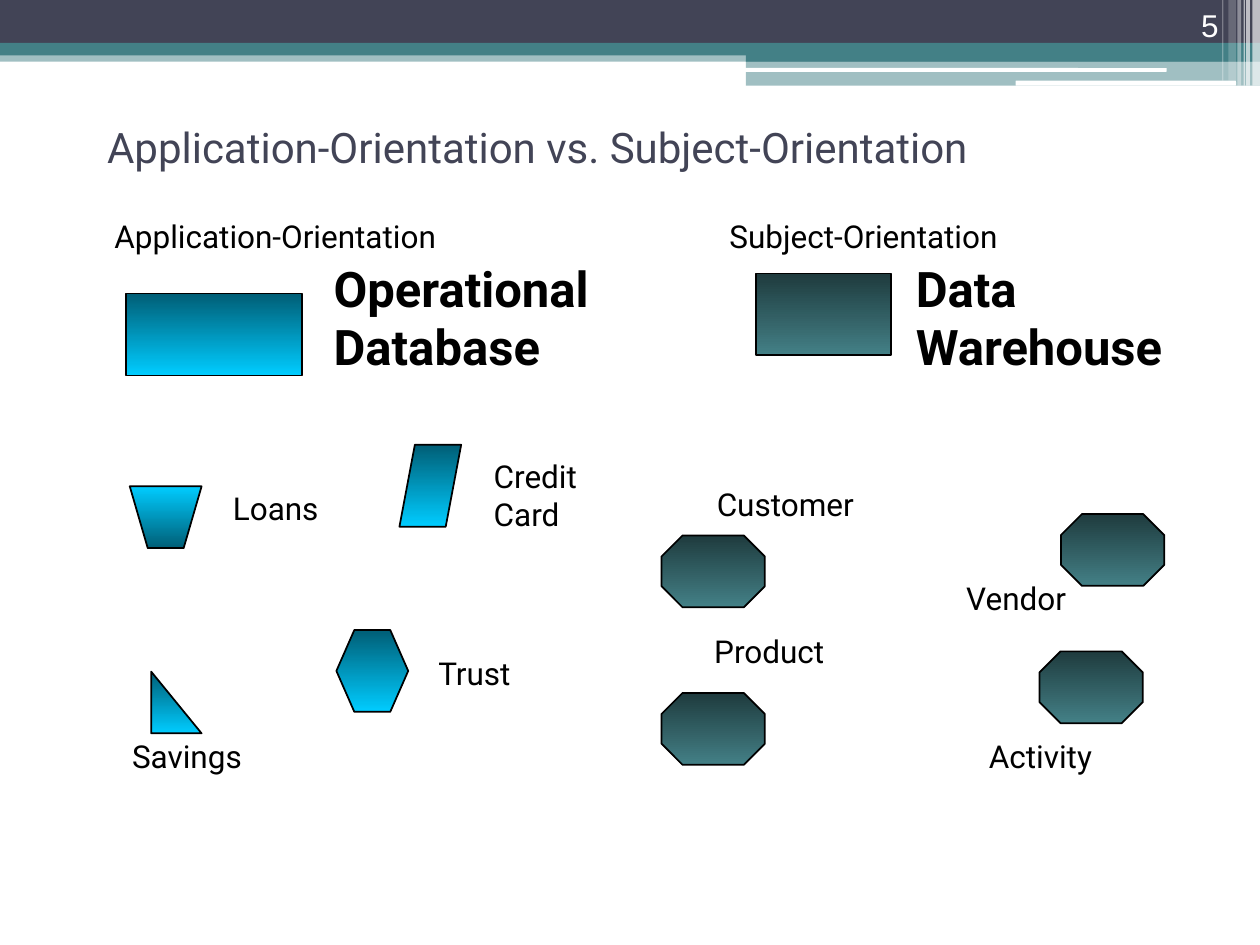
from dataclasses import dataclass

from pptx import Presentation
from pptx.dml.color import RGBColor
from pptx.enum.shapes import MSO_SHAPE
from pptx.enum.text import MSO_ANCHOR, MSO_AUTO_SIZE, PP_ALIGN
from pptx.oxml.ns import qn
from pptx.util import Inches, Pt
from lxml.etree import SubElement


@dataclass(frozen=True)
class Theme:
    font: str = "Roboto"
    number_font: str = "Arial"
    title_size: int = 24
    heading_size: int = 28
    body_size: int = 18
    white: str = "FFFFFF"
    black: str = "000000"
    slate: str = "424456"
    teal: str = "438086"
    cyan_fade: tuple = ("005E76", "00CCFF")
    teal_fade: tuple = ("1F3B3E", "438086")


T = Theme()

BANDS = [
    (MSO_SHAPE.RECTANGLE, 0, 0.4, 10, 0.09, T.teal, 50),
    (MSO_SHAPE.RECTANGLE, 0, 0, 10, 0.34, T.slate, 100),
    (MSO_SHAPE.RECTANGLE, 0, 0.34, 10, 0.1, T.teal, 100),
    (MSO_SHAPE.RECTANGLE, 5.92, 0.39, 4.08, 0.1, T.teal, 100),
    (MSO_SHAPE.RECTANGLE, 5.92, 0.48, 4.08, 0.2, T.teal, 50),
    (MSO_SHAPE.ROUNDED_RECTANGLE, 5.91, 0.54, 3.35, 0.03, T.white, 100),
    (MSO_SHAPE.ROUNDED_RECTANGLE, 8.06, 0.64, 1.75, 0.04, T.white, 100),
]
STRIPES = [
    (9.94, 0.06, 0.68, 65),
    (9.89, 0.03, 0.68, 65),
    (9.87, 0.01, 0.68, 60),
    (9.82, 0.03, 0.68, 40),
    (9.75, 0.06, 0.64, 20),
    (9.7, 0.01, 0.64, 30),
]
APPLICATION_SHAPES = [
    (MSO_SHAPE.RECTANGLE, 1, 2.33, 1.4, 0.65),
    (MSO_SHAPE.HEXAGON, 2.67, 5, 0.57, 0.65),
    (MSO_SHAPE.RIGHT_TRIANGLE, 1.2, 5.33, 0.4, 0.49),
    (MSO_SHAPE.PARALLELOGRAM, 3.17, 3.53, 0.49, 0.65),
]
APPLICATION_LABELS = [
    (["Application-Orientation"], 0.81, 1.67, 2.95, 0.4),
    (["Loans"], 1.75, 3.83, 0.9, 0.4),
    (["Credit", "Card"], 3.82, 3.58, 0.97, 0.7),
    (["Trust"], 3.38, 5.14, 0.81, 0.4),
    (["Savings"], 0.95, 5.8, 1.1, 0.4),
]
SUBJECT_SHAPES = [(MSO_SHAPE.RECTANGLE, 6, 2.17, 1.07, 0.65)] + [
    (MSO_SHAPE.OCTAGON, x, y, 0.82, 0.57)
    for x, y in [(5.25, 4.25), (8.42, 4.08), (8.25, 5.17), (5.25, 5.5)]
]
SUBJECT_LABELS = [
    (["Subject-Orientation"], 5.69, 1.67, 2.49, 0.4),
    (["Customer"], 5.59, 3.8, 1.35, 0.4),
    (["Vendor"], 7.57, 4.55, 1.05, 0.4),
    (["Product"], 5.57, 4.97, 1.48, 0.4),
    (["Activity"], 7.75, 5.8, 1.04, 0.4),
]


def rgb(color):
    return RGBColor.from_string(color)


def box(*lengths):
    return [Inches(v) for v in lengths]


def add_band(shapes, kind, x, y, w, h, color, opacity):
    sp = shapes.add_shape(kind, *box(x, y, w, h))
    sp.shadow.inherit = False
    sp.line.fill.background()
    sp.fill.solid()
    sp.fill.fore_color.rgb = rgb(color)
    if opacity < 100:
        clr = sp.fill._xPr.find(qn("a:solidFill"))[0]
        SubElement(clr, qn("a:alpha")).set("val", str(opacity * 1000))


def style_faded(sp, fade):
    sp.shadow.inherit = False
    sp.fill.gradient()
    sp.fill.gradient_angle = 270
    for stop, position, color in zip(sp.fill.gradient_stops, (0, 1), fade):
        stop.position = position
        stop.color.rgb = rgb(color)
    sp.line.color.rgb = rgb(T.black)
    sp.line.width = Pt(1)


def add_faded(shapes, kind, x, y, w, h, fade):
    sp = shapes.add_shape(kind, *box(x, y, w, h))
    style_faded(sp, fade)


def add_trapezoid(shapes, x, y, w, h, fade):
    fb = shapes.build_freeform(Inches(x), Inches(y + h))
    corners = [(x + w / 4, y), (x + w * 3 / 4, y), (x + w, y + h)]
    fb.add_line_segments([box(*corner) for corner in corners])
    sp = fb.convert_to_shape()
    sp.rotation = 180
    style_faded(sp, fade)


def add_run(p, text, size, color=T.black, font=T.font, bold=False):
    r = p.add_run()
    r.text = text
    r.font.size = Pt(size)
    r.font.name = font
    r.font.color.rgb = rgb(color)
    r.font.bold = bold


def add_label(shapes, lines, x, y, w, h, size=T.body_size, bold=False, wrap=False):
    tf = shapes.add_textbox(*box(x, y, w, h)).text_frame
    tf.word_wrap = wrap
    tf.auto_size = MSO_AUTO_SIZE.SHAPE_TO_FIT_TEXT
    for i, line in enumerate(lines):
        p = tf.add_paragraph() if i else tf.paragraphs[0]
        add_run(p, line, size, bold=bold)


def add_header(s):
    for band in BANDS:
        add_band(s.shapes, *band)
    for x, w, h, opacity in STRIPES:
        add_band(s.shapes, MSO_SHAPE.RECTANGLE, x, 0, w, h, T.white, opacity)


def set_title(s, text):
    sp = s.shapes.title
    s.shapes._spTree.append(sp._element)
    sp.left, sp.top, sp.width, sp.height = box(0.75, 0.58, 9, 1.17)
    tf = sp.text_frame
    tf.vertical_anchor = MSO_ANCHOR.MIDDLE
    tf.paragraphs[0].alignment = PP_ALIGN.LEFT
    add_run(tf.paragraphs[0], text, T.title_size, T.slate)


def add_number(s, text):
    tf = s.shapes.add_textbox(*box(8.94, 0, 0.83, 0.4)).text_frame
    tf.word_wrap = True
    tf.vertical_anchor = MSO_ANCHOR.BOTTOM
    tf.paragraphs[0].alignment = PP_ALIGN.RIGHT
    add_run(tf.paragraphs[0], text, T.body_size, T.white, T.number_font)


def add_side(s, faded, labels, fade):
    shapes = s.shapes.add_group_shape().shapes
    for item in faded:
        add_faded(shapes, *item, fade)
    for label in labels:
        add_label(shapes, *label)
    return shapes


def main():
    prs = Presentation()
    prs.slide_width, prs.slide_height = box(10, 7.5)
    s = prs.slides.add_slide(prs.slide_layouts.get_by_name("Title Only"))
    add_header(s)
    set_title(s, "Application-Orientation vs. Subject-Orientation")
    add_number(s, "5")

    application = add_side(s, APPLICATION_SHAPES, APPLICATION_LABELS, T.cyan_fade)
    add_trapezoid(application, 1.03, 3.86, 0.57, 0.49, T.cyan_fade)
    add_label(application, ["Operational Database"], 2.55, 2, 2.53, 1.03,
              T.heading_size, bold=True, wrap=True)

    subject = add_side(s, SUBJECT_SHAPES, SUBJECT_LABELS, T.teal_fade)
    add_label(subject, ["Data", "Warehouse"], 7.17, 2, 2.39, 1.03,
              T.heading_size, bold=True)
    prs.save("out.pptx")


if __name__ == "__main__":
    main()
